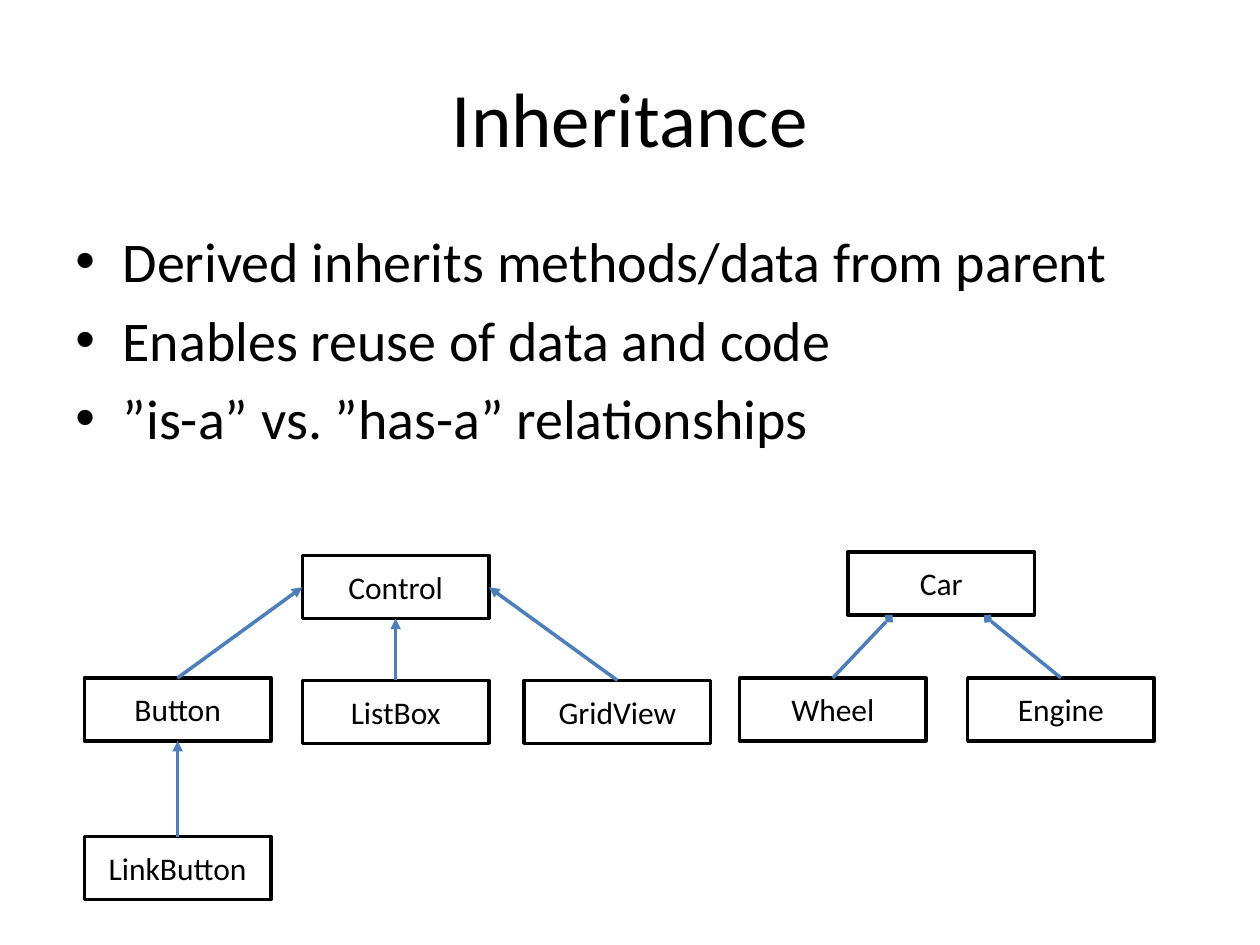
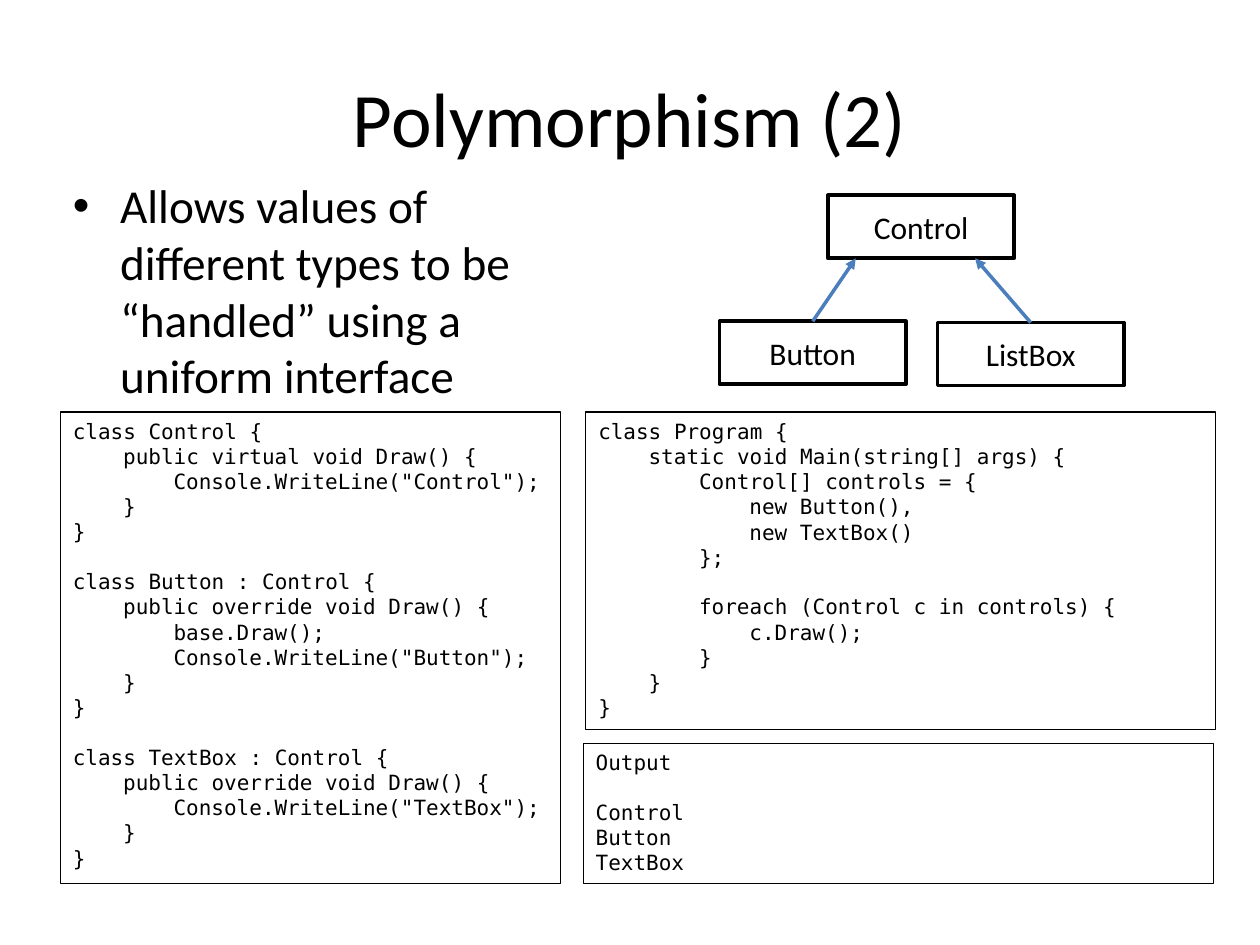
from dataclasses import dataclass

from lxml import etree
from pptx import Presentation
from pptx import util as u
from pptx.dml import color
from pptx.enum import shapes, text
from pptx.oxml import ns


@dataclass(frozen=True)
class Theme:
    ink = color.RGBColor.from_string("000000")
    paper = color.RGBColor.from_string("FFFFFF")
    arrow = color.RGBColor.from_string("4B7EBC")
    body_font = "Calibri"
    code_font = "DejaVu Sans Mono"
    title_size = 44
    label_size = 18
    code_size = 12
    heavy = u.Pt(2)
    thin = u.Pt(0.75)


theme = Theme()
deck = Presentation()
deck.slide_width = u.Inches(10)
deck.slide_height = u.Inches(7.5)
column = deck.slide_width // 100
row = deck.slide_height // 75
node_width, node_height = 14.8, 5
code_indent = 4 * column
code_gap = u.Pt(14)


def area(left, top, width, height):
    return [int(left * column), int(top * row), int(width * column), int(height * row)]


def write(box, lines, font, size, align, anchor):
    frame = box.text_frame
    frame.word_wrap = True
    frame.vertical_anchor = anchor
    frame.text = "\n".join(lines)
    for para in frame.paragraphs:
        para.alignment = align
        for span in para.runs:
            span.font.name = font
            span.font.size = u.Pt(size)
            span.font.color.rgb = theme.ink
    return frame.paragraphs


pages = [
    {
        "title": "Inheritance",
        "body": [
            "Derived inherits methods/data from parent",
            "Enables reuse of data and code",
            "”is-a” vs. ”has-a” relationships",
        ],
        "body_area": (5, 17.5, 90, 26.3),
        "body_size": 32,
        "nodes": {
            "Control": (24, 44.1),
            "Button": (6.7, 53.8),
            "ListBox": (24, 54),
            "GridView": (41.6, 54),
            "LinkButton": (6.7, 66.4),
            "Car": (67.3, 43.8),
            "Wheel": (58.7, 53.8),
            "Engine": (76.8, 53.8),
        },
        "links": [
            ("Button", "Control", 0, 0.5, "triangle"),
            ("ListBox", "Control", 0.5, 1, "triangle"),
            ("GridView", "Control", 1, 0.5, "triangle"),
            ("LinkButton", "Button", 0.5, 1, "triangle"),
            ("Engine", "Car", 0.75, 1.06, "diamond"),
            ("Wheel", "Car", 0.22, 1.06, "diamond"),
        ],
        "listings": [],
    },
    {
        "title": "Polymorphism (2)",
        "body": ["Allows values of different types to be “handled” using a uniform interface"],
        "body_area": (4.8, 13.5, 39.7, 16.9),
        "body_size": 27,
        "nodes": {"Control": (65.7, 15.5), "Button": (57.1, 25.5), "ListBox": (74.4, 25.6)},
        "links": [
            ("Button", "Control", 0.15, 1, "triangle"),
            ("ListBox", "Control", 0.79, 1, "triangle"),
        ],
        "listings": [
            ((4.8, 32.7, 39.7, 37.4), """
class Control {
public virtual void Draw() {
Console.WriteLine("Control");
}
}

class Button : Control {
public override void Draw() {
base.Draw();
Console.WriteLine("Button");
}
}

class TextBox : Control {
public override void Draw() {
Console.WriteLine("TextBox");
}
}
"""),
            ((46.5, 32.7, 50, 25.2), """
class Program {
static void Main(string[] args) {
Control[] controls = {
new Button(),
new TextBox()
};

foreach (Control c in controls) {
c.Draw();
}
}
}
"""),
            ((46.3, 59, 50, 11.1), """
Output

Control
Button
TextBox
"""),
        ],
    },
]

for content in pages:
    page = deck.slides.add_slide(deck.slide_layouts[6])
    page.background.fill.solid()
    page.background.fill.fore_color.rgb = theme.paper

    title = page.shapes.add_textbox(*area(5, 3, 90, 12.5))
    write(title, [content["title"]], theme.body_font, theme.title_size,
          text.PP_ALIGN.CENTER, text.MSO_ANCHOR.MIDDLE)

    body = page.shapes.add_textbox(*area(*content["body_area"]))
    bullets = write(body, content["body"], theme.body_font, content["body_size"],
                    text.PP_ALIGN.LEFT, text.MSO_ANCHOR.TOP)
    for index, para in enumerate(bullets):
        para.space_before = u.Pt(content["body_size"] * 0.2 if index else 0)
        properties = para._p.get_or_add_pPr()
        properties.set("marL", str(int(3.75 * column)))
        properties.set("indent", str(int(-3.75 * column)))
        etree.SubElement(properties, ns.qn("a:buFont")).set("typeface", "Arial")
        etree.SubElement(properties, ns.qn("a:buChar")).set("char", "•")

    for label, (left, top) in content["nodes"].items():
        node = page.shapes.add_shape(shapes.MSO_SHAPE.RECTANGLE,
                                     *area(left, top, node_width, node_height))
        node.shadow.inherit = False
        node.fill.solid()
        node.fill.fore_color.rgb = theme.paper
        node.line.color.rgb = theme.ink
        node.line.width = theme.heavy
        write(node, [label], theme.body_font, theme.label_size,
              text.PP_ALIGN.CENTER, text.MSO_ANCHOR.MIDDLE)

    for child, parent, across, down, head in content["links"]:
        child_left, child_top = content["nodes"][child]
        parent_left, parent_top = content["nodes"][parent]
        ends = area(child_left + node_width / 2, child_top,
                    parent_left + across * node_width, parent_top + down * node_height)
        link = page.shapes.add_connector(shapes.MSO_CONNECTOR.STRAIGHT, *ends)
        link.line.color.rgb = theme.arrow
        link.line.width = theme.heavy
        etree.SubElement(link.line._get_or_add_ln(), ns.qn("a:tailEnd")).set("type", head)
        etree.SubElement(link._element.spPr, ns.qn("a:effectLst"))

    for place, source in content["listings"]:
        listing = page.shapes.add_shape(shapes.MSO_SHAPE.RECTANGLE, *area(*place))
        listing.shadow.inherit = False
        listing.fill.background()
        listing.line.color.rgb = theme.ink
        listing.line.width = theme.thin
        blocks = [block.split("\n") for block in source.strip().split("\n\n")]
        lines = [line for block in blocks for line in block]
        starts = [index for block in blocks for index in range(len(block))]
        paras = write(listing, lines, theme.code_font, theme.code_size,
                      text.PP_ALIGN.LEFT, text.MSO_ANCHOR.TOP)
        depth = 0
        for number, (para, line, start) in enumerate(zip(paras, lines, starts)):
            depth -= line.startswith("}")
            para._p.get_or_add_pPr().set("marL", str(depth * code_indent))
            depth += line.endswith("{")
            if number and start == 0:
                para.space_before = code_gap

deck.save("out.pptx")
